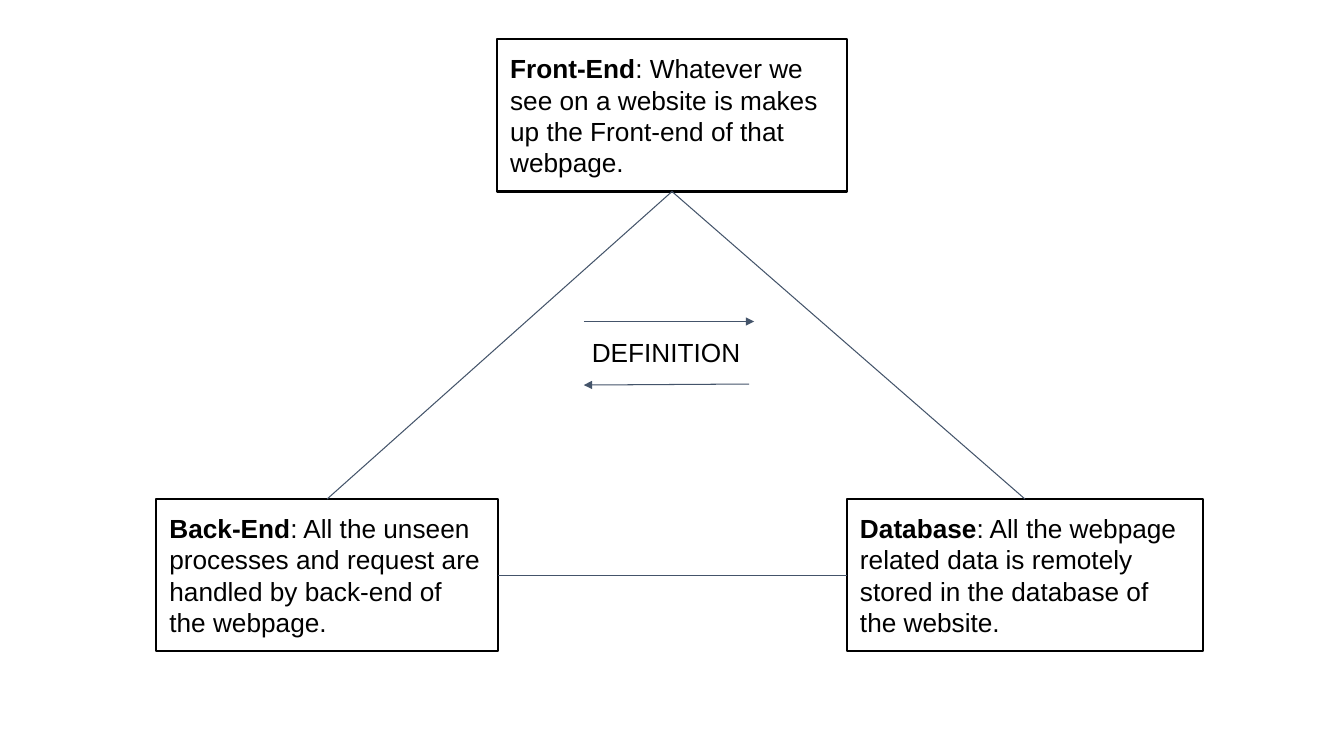
import dataclasses
import pptx
import pptx.dml.color
import pptx.enum.shapes
import pptx.enum.text
import pptx.oxml.ns
import pptx.util
from lxml import etree
from pptx.util import Inches


@dataclasses.dataclass(frozen=True)
class Theme:
    ink: str = "000000"
    paper: str = "FFFFFF"
    link: str = "44546A"
    font: str = "Arial"
    size: float = 18.7
    edge: float = 1.5
    thin: float = 0.75
    pad: float = 0.13


THEME = Theme()
TOP, LEFT, BOTTOM, RIGHT = range(4)


def color(code):
    return pptx.dml.color.RGBColor.from_string(code)


def write(shape, runs):
    """Fill a shape with (text, bold) runs."""
    frame = shape.text_frame
    frame.word_wrap = True
    frame.auto_size = pptx.enum.text.MSO_AUTO_SIZE.SHAPE_TO_FIT_TEXT
    frame.vertical_anchor = pptx.enum.text.MSO_ANCHOR.TOP
    frame.margin_left = frame.margin_right = Inches(THEME.pad)
    frame.margin_top = frame.margin_bottom = Inches(THEME.pad)
    para = frame.paragraphs[0]
    para.alignment = pptx.enum.text.PP_ALIGN.LEFT
    for text, bold in runs:
        run = para.add_run()
        run.text = text
        run.font.name = THEME.font
        run.font.size = pptx.util.Pt(THEME.size)
        run.font.bold = bold
        run.font.color.rgb = color(THEME.ink)


def add_box(slide, left, top, width, term, text):
    box = slide.shapes.add_shape(
        pptx.enum.shapes.MSO_SHAPE.RECTANGLE,
        Inches(left), Inches(top), Inches(width), Inches(1.51))
    box.shadow.inherit = False
    box.fill.solid()
    box.fill.fore_color.rgb = color(THEME.paper)
    box.line.color.rgb = color(THEME.ink)
    box.line.width = pptx.util.Pt(THEME.edge)
    write(box, [(term, True), (": " + text, False)])
    return box


def add_line(slide, start=(0, 0), end=(0, 0)):
    line = slide.shapes.add_connector(
        pptx.enum.shapes.MSO_CONNECTOR.STRAIGHT,
        *(Inches(n) for n in (*start, *end)))
    line.line.color.rgb = color(THEME.link)
    line.line.width = pptx.util.Pt(THEME.thin)
    etree.SubElement(line._element.spPr, pptx.oxml.ns.qn("a:effectLst"))
    return line


def add_arrow(slide, start, end):
    line = add_line(slide, start, end)
    etree.SubElement(line.line._get_or_add_ln(),
                     pptx.oxml.ns.qn("a:tailEnd"), type="triangle")


def join(slide, first, side, second, other):
    line = add_line(slide)
    line.begin_connect(first, side)
    line.end_connect(second, other)


def main():
    deck = pptx.Presentation()
    deck.slide_width, deck.slide_height = Inches(13.33), Inches(7.5)
    slide = deck.slides.add_slide(deck.slide_layouts[6])

    # Corner boxes
    front = add_box(slide, 4.93, 0.39, 3.47, "Front-End",
                    "Whatever we see on a website is makes up the "
                    "Front-end of that webpage.")
    back = add_box(slide, 1.55, 4.95, 3.39, "Back-End",
                   "All the unseen processes and request are handled by "
                   "back-end of the webpage.")
    data = add_box(slide, 8.4, 4.95, 3.53, "Database",
                   "All the webpage related data is remotely stored in "
                   "the database of the website.")

    # Triangle sides
    join(slide, front, BOTTOM, back, TOP)
    join(slide, front, BOTTOM, data, TOP)
    join(slide, back, RIGHT, data, LEFT)

    # Arrows around the middle label
    add_arrow(slide, (5.79, 3.19), (7.48, 3.19))
    add_arrow(slide, (7.43, 3.81), (5.79, 3.82))
    label = slide.shapes.add_textbox(
        Inches(5.74), Inches(3.21), Inches(1.86), Inches(0.58))
    write(label, [("DEFINITION", False)])

    deck.save("out.pptx")


if __name__ == "__main__":
    main()
